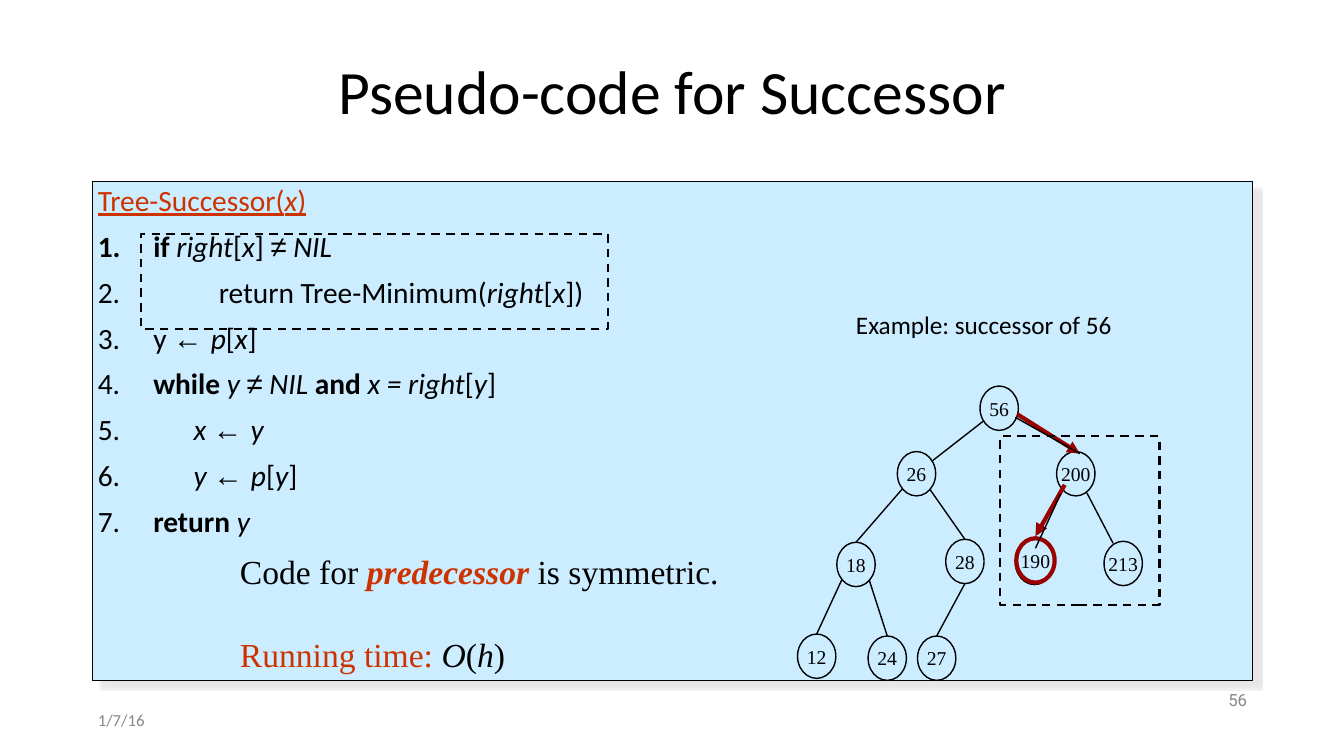
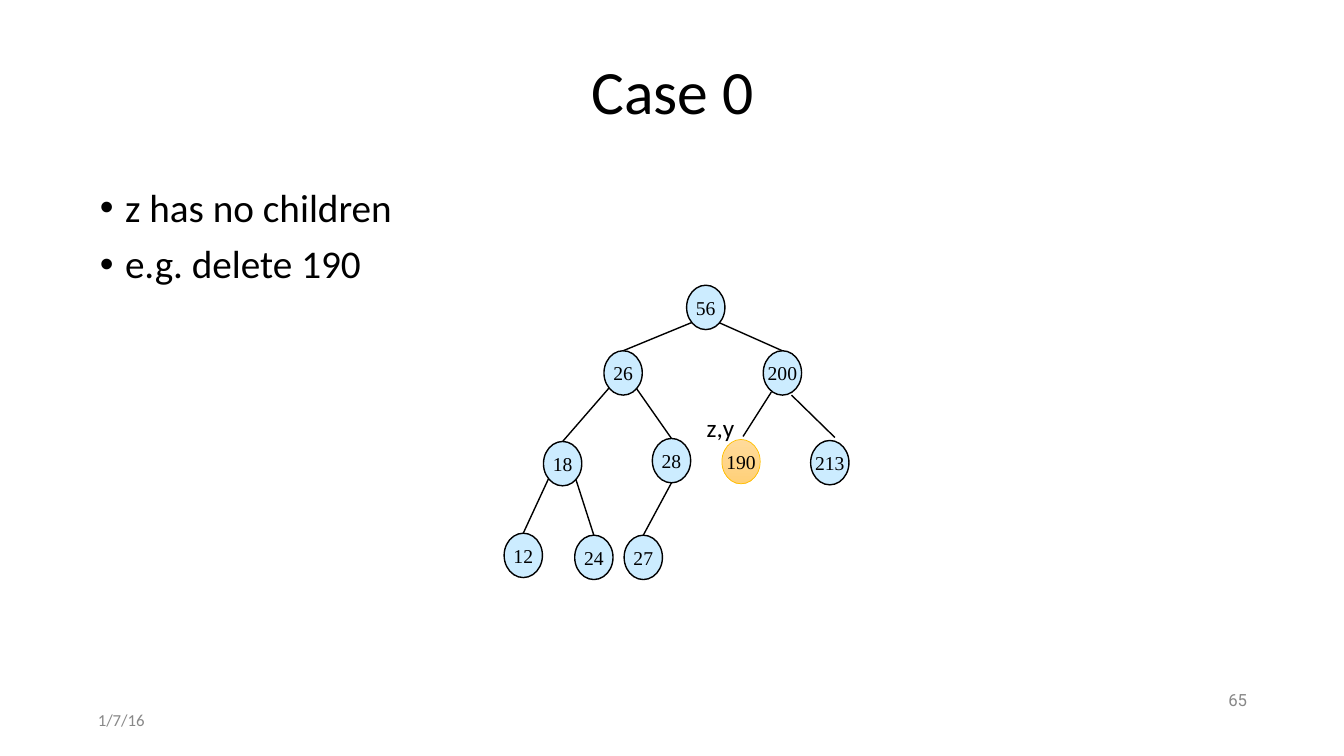
from dataclasses import dataclass

from lxml.etree import SubElement as Sub
from pptx import Presentation
from pptx.dml.color import RGBColor as Rgb
from pptx.enum.dml import MSO_LINE as Dash
from pptx.enum.shapes import MSO_CONNECTOR as Wire, MSO_SHAPE as Form
from pptx.enum.text import MSO_ANCHOR as Anchor, MSO_AUTO_SIZE as Fit, PP_ALIGN as Align
from pptx.oxml.ns import qn
from pptx.util import Pt

PX = 9144  # one hundredth of an inch


@dataclass(frozen=True)
class Theme:
    ink: str = "000000"
    grey: str = "888888"
    sky: str = "CCECFF"
    rust: str = "CC3300"
    red: str = "990000"
    shade: str = "E7E6E6"
    amber: str = "FFC000"
    glow: tuple = ("FFDB9B", "FFD078")
    sans: str = "Calibri"
    serif: str = "Times New Roman"
    sign: str = "Arial"
    count: str = "Roboto"
    title: int = 44
    list: int = 28
    note: int = 24
    code: int = 21
    label: int = 18
    node: int = 14
    foot: int = 12


T = Theme()
HEAD = (92, 40, 1150, 107)

# Tree nodes: left and top inside the tree box
NODE_W, NODE_H = 38, 44
NODES = {
    "56": (181, 0), "26": (99, 65), "200": (257, 65),
    "18": (39, 155), "28": (147, 152), "213": (304, 154),
    "12": (0, 246), "24": (70, 248), "27": (119, 248),
}
LEAF = (216, 153)
# Parent, child and where the link leaves the parent
LEFT, MID, RIGHT = (5, 37), (19, 44), (32, 37)
LINKS = [("26", "18", LEFT), ("26", "28", RIGHT), ("18", "12", LEFT),
         ("18", "24", RIGHT), ("28", "27", MID)]

# Code lines: indent, then runs of text with style letters
CODE = [
    (55, [("1.\tif ", "b"), ("right", "i"), "[", ("x", "i"), "] ", ("≠", "s"), (" NIL", "i")]),
    (120, ["2.\treturn Tree-Minimum(", ("right", "i"), "[", ("x", "i"), "])"]),
    (55, ["3.\ty ", ("← ", "s"), ("p", "i"), "[", ("x", "i"), "]"]),
    (55, ["4.\t", ("while ", "b"), ("y ", "i"), ("≠", "s"), (" NIL ", "i"), ("and", "b"),
          (" x = right", "i"), "[", ("y", "i"), "]"]),
    (95, ["5.\t", ("x ", "i"), ("← ", "s"), ("y", "i")]),
    (95, ["6.\t", ("y ", "i"), ("← ", "s"), ("p", "i"), "[", ("y", "i"), "]"]),
    (55, ["7.\t", ("return ", "b"), ("y", "i")]),
]


# Basics
def px(*nums):
    return [n * PX for n in nums]


def shift(box, x, y):
    return box[0] + x, box[1] + y


def place(shape, box):
    shape.left, shape.top, shape.width, shape.height = px(*box)


def style(font, face, size, color):
    font.name, font.size, font.color.rgb = face, Pt(size), Rgb.from_string(color)


def frame(shape, anchor=Anchor.TOP, inset=5):
    text = shape.text_frame
    text.word_wrap, text.auto_size, text.vertical_anchor = True, Fit.NONE, anchor
    text.margin_left = text.margin_right = text.margin_top = text.margin_bottom = inset * PX
    return text


def write(para, runs):
    for item in runs:
        text, marks = (item, "") if isinstance(item, str) else item
        run = para.add_run()
        run.text = text
        if "b" in marks:
            run.font.bold = True
        if "i" in marks:
            run.font.italic = True
        if "s" in marks:
            run.font.name = T.sign
        if "r" in marks:
            run.font.color.rgb = Rgb.from_string(T.rust)


def fill(text, rows, face, size, color, gap=0, line=None):
    for i, runs in enumerate(rows):
        para = text.paragraphs[0] if i == 0 else text.add_paragraph()
        write(para, runs)
        para.space_before = Pt(gap if i else 0)
        if line:
            para.line_spacing = line
        style(para.font, face, size, color)


def indent(para, size, mark=None):
    props = para._p.get_or_add_pPr()
    props.set("marL", str(size * PX))
    props.set("indent", str(-size * PX))
    if mark:
        Sub(props, qn("a:buFont"), typeface=T.sign)
        Sub(props, qn("a:buChar"), char=mark)
    else:
        Sub(props, qn("a:buNone"))


def label(sheet, box, rows, size, face=T.sans, color=T.ink, align=Align.LEFT,
          anchor=Anchor.TOP, gap=0):
    text = frame(sheet.shapes.add_textbox(*px(*box)), anchor)
    fill(text, rows, face, size, color, gap)
    for para in text.paragraphs:
        para.alignment = align


def outline(shape, color, width):
    shape.line.color.rgb = Rgb.from_string(color)
    shape.line.width = Pt(width)


def dashed(sheet, box):
    shape = sheet.shapes.add_shape(Form.RECTANGLE, *px(*box))
    shape.shadow.inherit = False
    shape.fill.background()
    outline(shape, T.ink, 1.5)
    shape.line.dash_style = Dash.DASH


def link(sheet, box, start, end, color=T.ink, width=1, arrow=False):
    wire = sheet.shapes.add_connector(
        Wire.STRAIGHT, *px(*shift(box, *start), *shift(box, *end)))
    outline(wire, color, width)
    if arrow:
        Sub(wire.line._get_or_add_ln(), qn("a:tailEnd"), type="triangle")
    Sub(wire._element.spPr, qn("a:effectLst"))


def node(sheet, box, spot, name, color=T.ink, width=1, glow=None):
    shape = sheet.shapes.add_shape(
        Form.OVAL, *px(*shift(box, *spot), NODE_W, NODE_H))
    shape.shadow.inherit = False
    if glow:
        shape.fill.gradient()
        shape.fill.gradient_angle = 270
        for stop, tint in zip(shape.fill.gradient_stops, glow):
            stop.color.rgb = Rgb.from_string(tint)
    else:
        shape.fill.solid()
        shape.fill.fore_color.rgb = Rgb.from_string(T.sky)
    outline(shape, color, width)
    if name:
        text = frame(shape, Anchor.MIDDLE, 0)
        text.word_wrap = False
        fill(text, [[name]], T.serif, T.node, T.ink)
        text.paragraphs[0].alignment = Align.CENTER


# Shared title and footers
def start(deck, title, number):
    sheet = deck.slides.add_slide(deck.slide_layouts[1])
    place(sheet.shapes.title, HEAD)
    text = frame(sheet.shapes.title, Anchor.MIDDLE)
    fill(text, [[title]], T.sans, T.title, T.ink, line=0.9)
    text.paragraphs[0].alignment = Align.CENTER
    label(sheet, (92, 700, 300, 29), [["1/7/16"]], T.foot, color=T.grey, anchor=Anchor.MIDDLE)
    label(sheet, (942, 680, 300, 29), [[number]], T.foot, T.count, T.grey,
          Align.RIGHT, Anchor.MIDDLE)
    return sheet


# Nodes and links common to both trees
def tree(sheet, box):
    for name, spot in NODES.items():
        node(sheet, box, spot, name)
    for top, low, exit in LINKS:
        link(sheet, box, shift(NODES[top], *exit), shift(NODES[low], NODE_W // 2, 0))


# Code panel with its notes
def panel(sheet, box):
    body = sheet.placeholders[1]
    place(body, box)
    body.fill.solid()
    body.fill.fore_color.rgb = Rgb.from_string(T.sky)
    outline(body, T.ink, 0.75)
    cast = Sub(Sub(body._element.spPr, qn("a:effectLst")), qn("a:outerShdw"),
               blurRad=str(Pt(1)), dist=str(Pt(8.5)), dir="2700000", algn="tl")
    Sub(cast, qn("a:srgbClr"), val=T.shade)

    text = frame(body)
    head = ["Tree-Successor(", ("x", "i"), ")"]
    rows = [(0, head)] + CODE
    fill(text, [runs for _, runs in rows], T.sans, T.code, T.ink, 10, 0.9)
    for para, (size, _) in zip(text.paragraphs, rows):
        indent(para, size)
    first = text.paragraphs[0].font
    first.underline, first.color.rgb = True, Rgb.from_string(T.rust)

    dashed(sheet, (*shift(box, 48, 52), 463, 94))
    notes = [["Code for ", ("predecessor ", "bir"), "is symmetric."],
             [("Running time: ", "r"), ("O", "i"), "(", ("h", "i"), ")"]]
    label(sheet, (*shift(box, 141, 362), 500, 121), notes, T.note, T.serif, gap=30)


# Tree with the walk to the successor
def walk(sheet, box):
    label(sheet, (*shift(box, 53, -81), 280, 41), [["Example: successor of 56"]], T.label)
    tree(sheet, box)
    node(sheet, box, LEAF, "")
    link(sheet, box, (184, 35), (134, 74))
    link(sheet, box, (287, 106), (313, 156))
    link(sheet, box, (218, 28), (280, 67), T.red, 3, True)
    dashed(sheet, (*shift(box, 201, 50), 158, 167))
    node(sheet, box, (217, 151), "190", T.red, 3)
    link(sheet, box, (265, 98), (236, 149), T.red, 3, True)
    link(sheet, box, (261, 107), (236, 161))
    link(sheet, box, (216, 31), (280, 67))


# Tree with the leaf to delete
def prune(sheet, box):
    tree(sheet, box)
    node(sheet, box, LEAF, "190", T.amber, 0.5, T.glow)
    for ends in [((186, 37), (118, 65)), ((213, 37), (276, 65)),
                 ((265, 106), (237, 150)), ((285, 109), (328, 151))]:
        link(sheet, box, *ends)
    label(sheet, (*shift(box, 196, 121), 60, 41), [["z,y"]], T.label)


def points(sheet, box, rows):
    body = sheet.placeholders[1]
    place(body, box)
    text = frame(body)
    fill(text, [[row] for row in rows], T.sans, T.list, T.ink, 10, 0.9)
    for para in text.paragraphs:
        indent(para, 25, "•")


def main():
    deck = Presentation()
    deck.slide_width, deck.slide_height = px(1333, 750)

    sheet = start(deck, "Pseudo-code for Successor", "56")
    panel(sheet, (92, 180, 1150, 495))
    walk(sheet, (791, 383))

    sheet = start(deck, "Case 0", "65")
    points(sheet, (94, 182, 319, 127), ["z has no children", "e.g. delete 190"])
    prune(sheet, (500, 283))

    deck.save("out.pptx")


if __name__ == "__main__":
    main()
